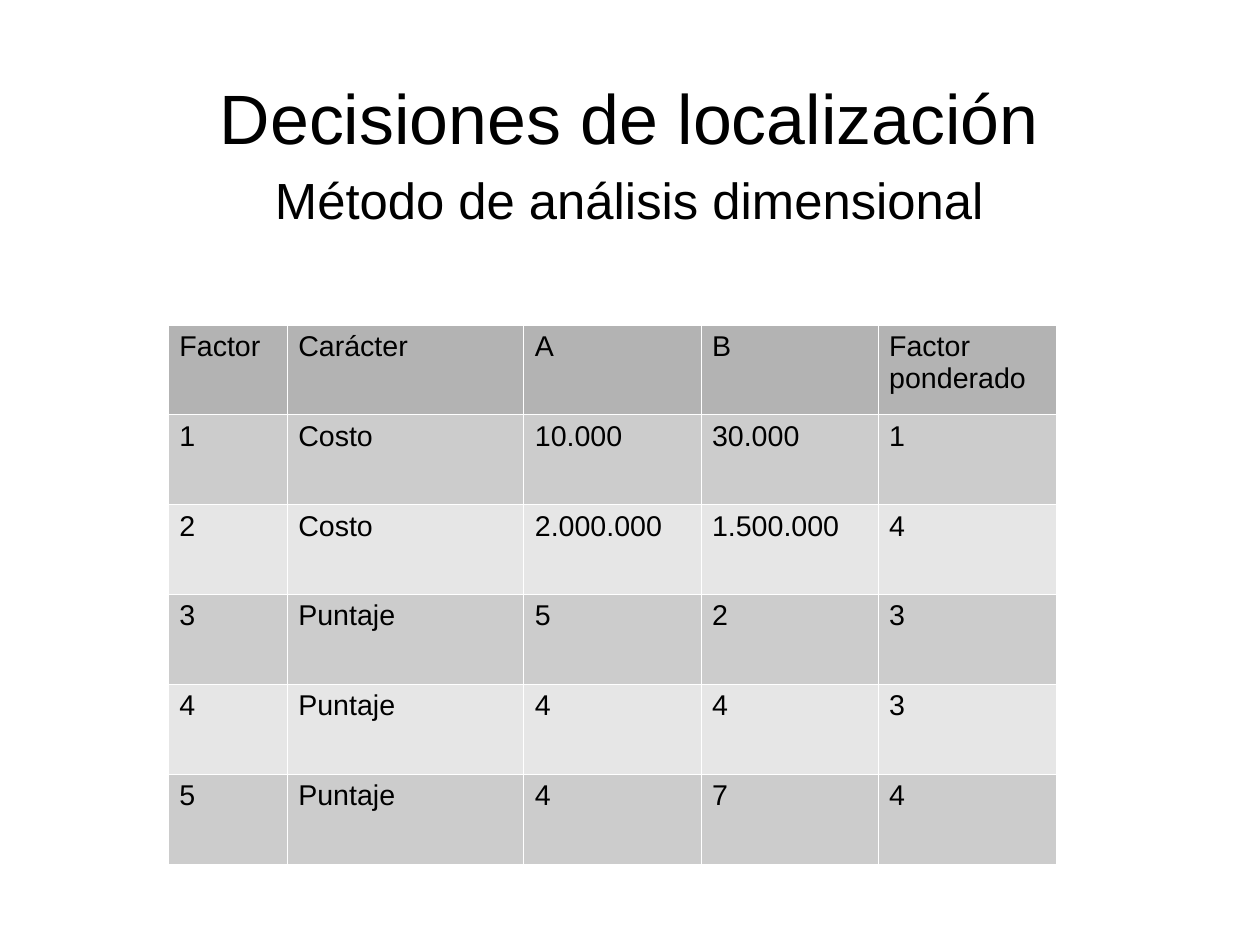
from lxml import etree
from pptx import Presentation
from pptx import util as u
from pptx.dml.color import RGBColor
from pptx.enum import text
from pptx.oxml import ns

COLORS = {"text": "000000", "header": "B3B3B3", "odd": "CCCCCC",
          "even": "E6E6E6", "border": "FFFFFF"}
COLUMN_WIDTHS = [1.04, 2.07, 1.55, 1.55, 1.56]
TABLE_HEIGHT = 4.72
FACTORS = [
    ["Factor", "Carácter", "A", "B", "Factor ponderado"],
    ["1", "Costo", "10.000", "30.000", "1"],
    ["2", "Costo", "2.000.000", "1.500.000", "4"],
    ["3", "Puntaje", "5", "2", "3"],
    ["4", "Puntaje", "4", "4", "3"],
    ["5", "Puntaje", "4", "7", "4"],
]


class SlideBuilder:
    """Adds styled elements to the current slide."""

    def __init__(self, slide, font="Arial"):
        self.slide = slide
        self.font = font

    def color(self, name):
        return RGBColor.from_string(COLORS[name])

    def style(self, p, size):
        p.font.name = self.font
        p.font.size = u.Pt(size)
        p.font.color.rgb = self.color("text")

    def heading(self, sp, content, box, size, anchor):
        sp.left, sp.top, sp.width, sp.height = map(u.Inches, box)
        tf = sp.text_frame
        tf.text = content
        tf.word_wrap = True
        tf.auto_size = text.MSO_AUTO_SIZE.NONE
        tf.vertical_anchor = anchor
        tf.margin_left = tf.margin_right = tf.margin_top = tf.margin_bottom = 0
        p = tf.paragraphs[0]
        p.alignment = text.PP_ALIGN.CENTER
        p.space_before = u.Pt(0)
        self.style(p, size)

    def border(self, cell):
        tc_pr = cell._tc.get_or_add_tcPr()
        for side in ("lnL", "lnR", "lnT", "lnB"):
            ln = etree.SubElement(tc_pr, ns.qn(f"a:{side}"), w=str(u.Pt(0.06)))
            fill = etree.SubElement(ln, ns.qn("a:solidFill"))
            etree.SubElement(fill, ns.qn("a:srgbClr"), val=COLORS["border"])

    def table(self, rows, left, top, widths, height, size):
        frame = self.slide.shapes.add_table(
            len(rows), len(widths), u.Inches(left), u.Inches(top),
            u.Inches(sum(widths)), u.Inches(height))
        table = frame.table
        table.first_row = table.horz_banding = False
        for column, width in zip(table.columns, widths):
            column.width = u.Inches(width)
        for i, values in enumerate(rows):
            shade = "header" if i == 0 else "odd" if i % 2 else "even"
            for j, value in enumerate(values):
                cell = table.cell(i, j)
                cell.text = value
                self.border(cell)
                cell.fill.solid()
                cell.fill.fore_color.rgb = self.color(shade)
                self.style(cell.text_frame.paragraphs[0], size)


def main():
    prs = Presentation()
    prs.slide_width, prs.slide_height = u.Cm(28), u.Cm(21)
    s = prs.slides.add_slide(prs.slide_layouts[0])
    builder = SlideBuilder(s)
    title, subtitle = s.placeholders
    builder.heading(title, "Decisiones de localización",
                    (0.55, 0.33, 9.92, 1.38), 44, text.MSO_ANCHOR.MIDDLE)
    builder.heading(subtitle, "Método de análisis dimensional",
                    (0.55, 1.48, 9.92, 0.6), 32, text.MSO_ANCHOR.TOP)
    builder.table(FACTORS, 1.47, 2.84, COLUMN_WIDTHS, TABLE_HEIGHT, 18)
    prs.save("out.pptx")


if __name__ == "__main__":
    main()
